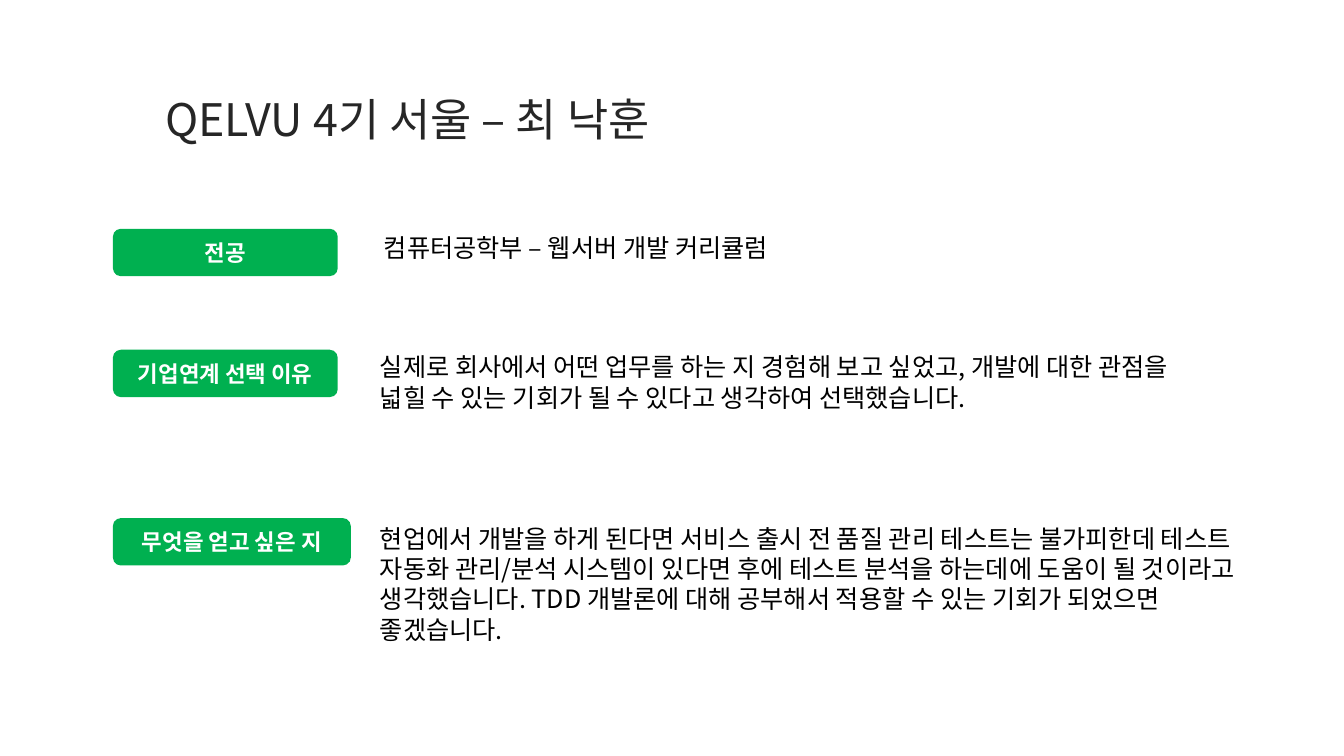
import pptx
import pptx.dml.color
import pptx.enum.shapes
import pptx.enum.text
import pptx.oxml
import pptx.oxml.ns
import pptx.util
from dataclasses import dataclass

PX = 9144


@dataclass(frozen=True)
class Theme:
    """Colours, font and type sizes of the slide."""
    font: str = "Noto Sans CJK KR"
    green: str = "00B050"
    white: str = "FFFFFF"
    black: str = "000000"
    ink: str = "262626"
    title: int = 32
    body: int = 18
    label: int = 16
    line: float = 21.6


THEME = Theme()

ROWS = [
    ("전공", (112, 227, 223), "컴퓨터공학부 – 웹서버 개발 커리큘럼", (371, 226, 483, 40)),
    ("기업연계 선택 이유", (112, 347, 223),
     "실제로 회사에서 어떤 업무를 하는 지 경험해 보고 싶었고, 개발에 대한 관점을 "
     "넓힐 수 있는 기회가 될 수 있다고 생각하여 선택했습니다.", (367, 344, 834, 71)),
    ("무엇을 얻고 싶은 지", (112, 514, 236),
     "현업에서 개발을 하게 된다면 서비스 출시 전 품질 관리 테스트는 불가피한데 테스트 "
     "자동화 관리/분석 시스템이 있다면 후에 테스트 분석을 하는데에 도움이 될 "
     "것이라고 생각했습니다. TDD 개발론에 대해 공부해서 적용할 수 있는 기회가 "
     "되었으면 좋겠습니다.", (367, 514, 880, 131)),
]


def scale(box):
    """Turn px lengths into EMU."""
    return [pptx.util.Emu(n * PX) for n in box]


def write(frame, text, size, color, bold=False):
    """Fill a text frame with one styled paragraph and return it."""
    frame.word_wrap = True
    frame.text = text
    para = frame.paragraphs[0]
    for run in para.runs:
        font = run.font
        font.name = THEME.font
        font.size = pptx.util.Pt(size)
        font.bold = bold
        font.color.rgb = pptx.dml.color.RGBColor.from_string(color)
        asian = pptx.oxml.parse_xml(
            f'<a:ea {pptx.oxml.ns.nsdecls("a")} typeface="{THEME.font}"/>')
        font._element.find(pptx.oxml.ns.qn("a:latin")).addnext(asian)
    return para


def add_title(slide, text, box):
    """Add the heading, centred in height."""
    frame = slide.shapes.add_textbox(*scale(box)).text_frame
    frame.vertical_anchor = pptx.enum.text.MSO_ANCHOR.MIDDLE
    write(frame, text, THEME.title, THEME.ink)


def add_label(slide, text, box):
    """Add a green rounded label."""
    shape = slide.shapes.add_shape(
        pptx.enum.shapes.MSO_SHAPE.ROUNDED_RECTANGLE, *scale(box))
    shape.shadow.inherit = False
    shape.fill.solid()
    shape.fill.fore_color.rgb = pptx.dml.color.RGBColor.from_string(THEME.green)
    shape.line.fill.background()
    shape.text_frame.vertical_anchor = pptx.enum.text.MSO_ANCHOR.MIDDLE
    para = write(shape.text_frame, text, THEME.label, THEME.white, True)
    para.alignment = pptx.enum.text.PP_ALIGN.CENTER


def add_body(slide, text, box):
    """Add the answer beside a label."""
    frame = slide.shapes.add_textbox(*scale(box)).text_frame
    para = write(frame, text, THEME.body, THEME.black)
    para.line_spacing = pptx.util.Pt(THEME.line)


def main():
    """Build and save the slide."""
    deck = pptx.Presentation()
    deck.slide_width, deck.slide_height = scale((1333, 750))
    slide = deck.slides.add_slide(deck.slide_layouts[6])
    add_title(slide, "QELVU 4기 서울 – 최 낙훈", (154, 86, 828, 64))
    for label, spot, body, box in ROWS:
        add_label(slide, label, (*spot, 47))
        add_body(slide, body, box)
    deck.save("out.pptx")


if __name__ == "__main__":
    main()
